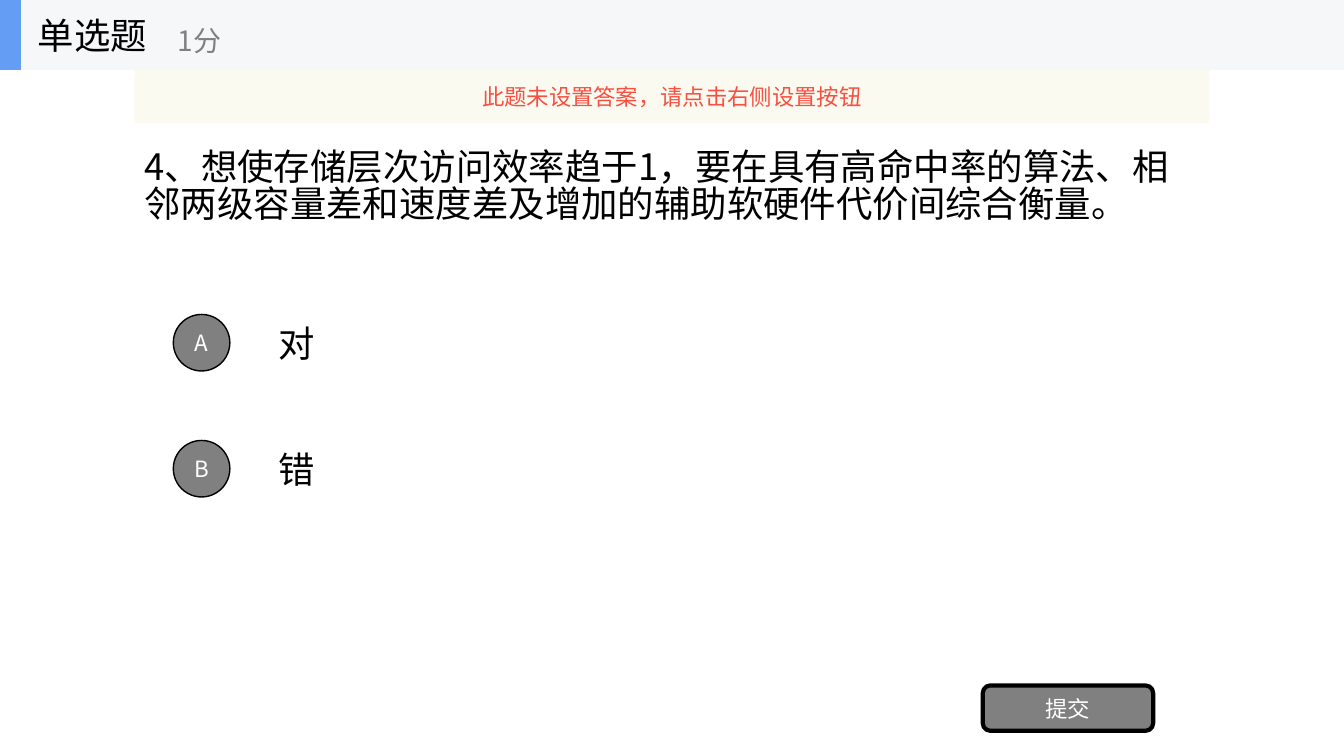
import dataclasses
import lxml.etree
import pptx
import pptx.dml.color
import pptx.enum.shapes
import pptx.enum.text
import pptx.oxml.ns
import pptx.util

Pt = pptx.util.Pt
SHAPES = pptx.enum.shapes.MSO_SHAPE
ALIGN = pptx.enum.text.PP_ALIGN


@dataclasses.dataclass(frozen=True)
class Theme:
    font: str = "Noto Sans CJK SC"
    black: str = "000000"
    white: str = "FFFFFF"
    gray: str = "808080"
    header: str = "F6F7F8"
    accent: str = "639EF4"
    notice: str = "FBFAEF"
    warning: str = "F84F41"
    large: int = 26
    medium: int = 20
    small: int = 16


theme = Theme()


def write(shape, text, size, color, align=ALIGN.LEFT, spacing=1.0):
    frame = shape.text_frame
    frame.word_wrap = True
    frame.auto_size = pptx.enum.text.MSO_AUTO_SIZE.NONE
    frame.vertical_anchor = pptx.enum.text.MSO_ANCHOR.MIDDLE
    paragraph = frame.paragraphs[0]
    paragraph.alignment = align
    paragraph.line_spacing = spacing
    run = paragraph.add_run()
    run.text = text
    run.font.size = Pt(size)
    run.font.name = theme.font
    run.font.color.rgb = pptx.dml.color.RGBColor.from_string(color)
    properties = run.font._element
    east_asian = lxml.etree.SubElement(properties, pptx.oxml.ns.qn("a:ea"))
    east_asian.set("typeface", theme.font)


def add_block(kind, left, top, width, height, fill, line_width=0):
    shape = slide.shapes.add_shape(kind, Pt(left), Pt(top), Pt(width), Pt(height))
    shape.shadow.inherit = False
    shape.fill.solid()
    shape.fill.fore_color.rgb = pptx.dml.color.RGBColor.from_string(fill)
    if line_width:
        shape.line.color.rgb = pptx.dml.color.RGBColor.from_string(theme.black)
        shape.line.width = Pt(line_width)
    else:
        shape.line.fill.background()
    return shape


presentation = pptx.Presentation()
presentation.slide_width = Pt(960)
presentation.slide_height = Pt(540)
slide = presentation.slides.add_slide(presentation.slide_layouts[5])

question = slide.shapes.title
question.left, question.top = Pt(96), Pt(50)
question.width, question.height = Pt(768), Pt(168.5)
write(
    question,
    "4、想使存储层次访问效率趋于1，要在具有高命中率的算法、相邻两级容量差和速度差及增加的辅助软硬件代价间综合衡量。",
    size=theme.large, color=theme.black, spacing=0.84,
)

for index, (letter, answer) in enumerate([("A", "对"), ("B", "错")]):
    top = 219.6 + 90 * index
    answer_box = slide.shapes.add_textbox(Pt(192), Pt(top), Pt(672), Pt(50.4))
    write(answer_box, answer, size=theme.large, color=theme.black)
    badge = add_block(SHAPES.OVAL, 123.8, top + 5, 40.4, 40.4, theme.gray, line_width=1)
    badge.text_frame.margin_left = badge.text_frame.margin_right = 0
    write(badge, letter, size=theme.small, color=theme.white, align=ALIGN.CENTER)

submit_button = add_block(SHAPES.ROUNDED_RECTANGLE, 702, 489.6, 121.7, 32.4, theme.gray, line_width=3)
write(submit_button, "提交", size=theme.small, color=theme.white, align=ALIGN.CENTER)

add_block(SHAPES.RECTANGLE, 0, 0, 960, 50, theme.header)
add_block(SHAPES.RECTANGLE, 0, 0, 15, 50, theme.accent)
question_type = slide.shapes.add_textbox(Pt(20), Pt(0), Pt(150), Pt(50))
write(question_type, "单选题", size=theme.large, color=theme.black)
score = slide.shapes.add_textbox(Pt(120), Pt(8.6), Pt(180), Pt(40.4))
write(score, "1分", size=theme.medium, color=theme.gray)

notice = add_block(SHAPES.RECTANGLE, 96, 50, 768, 38.2, theme.notice)
notice_color = notice.fill._xPr.find(".//" + pptx.oxml.ns.qn("a:srgbClr"))
lxml.etree.SubElement(notice_color, pptx.oxml.ns.qn("a:alpha")).set("val", "90000")
write(
    notice, "此题未设置答案，请点击右侧设置按钮",
    size=theme.small, color=theme.warning, align=ALIGN.CENTER,
)

presentation.save("out.pptx")
